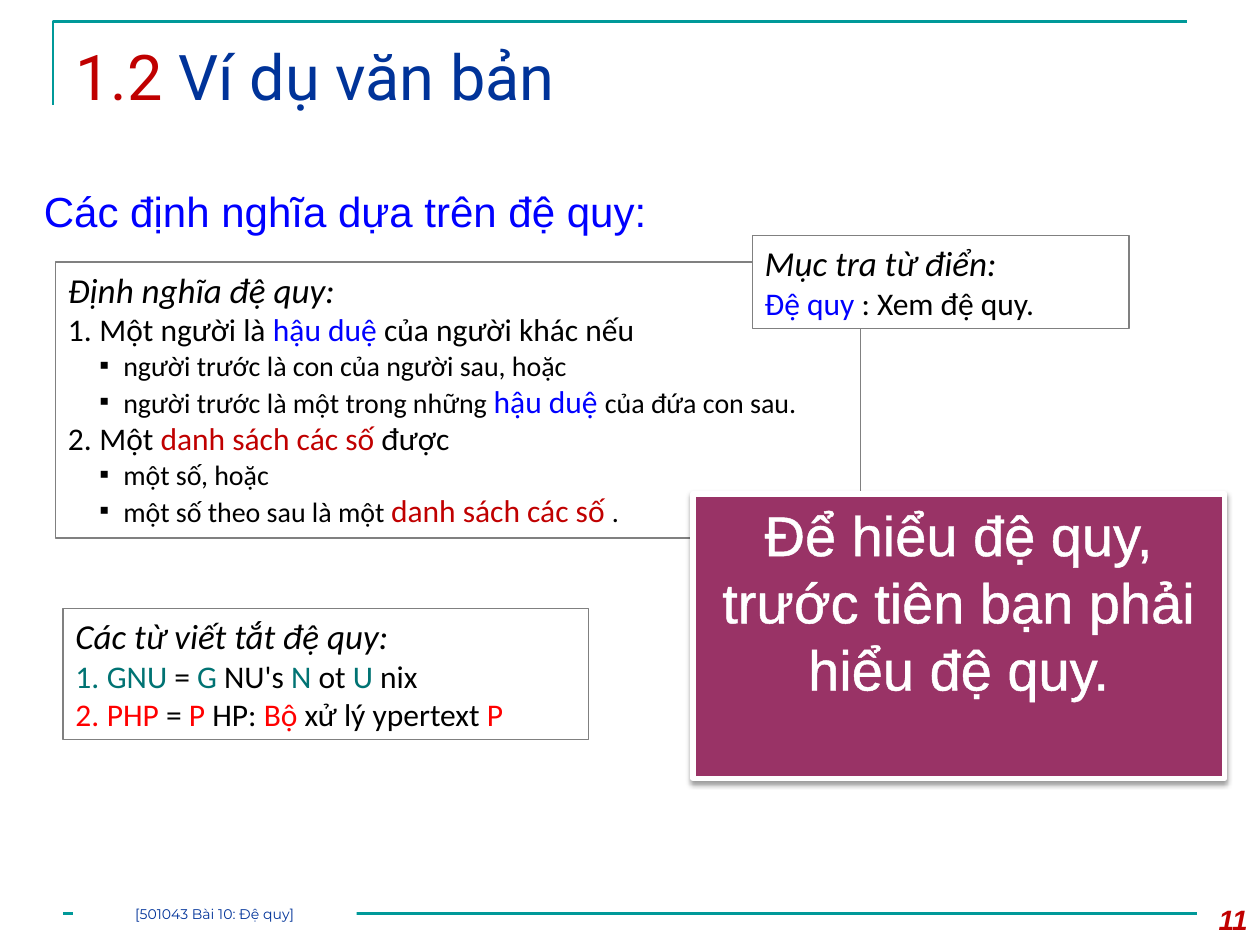
from dataclasses import dataclass

from lxml.etree import SubElement
from pptx import Presentation
from pptx.dml.color import RGBColor
from pptx.enum.shapes import MSO_CONNECTOR, MSO_SHAPE
from pptx.enum.text import MSO_ANCHOR, PP_ALIGN
from pptx.oxml import parse_xml
from pptx.oxml.ns import nsdecls, qn
from pptx.util import Emu, Pt

PX = 9144  # 100 px to the inch


@dataclass(frozen=True)
class Theme:
    rule: str = "009999"
    navy: str = "003399"
    crimson: str = "C00000"
    blue: str = "0000FF"
    teal: str = "007373"
    red: str = "FF0000"
    black: str = "000000"
    white: str = "FFFFFF"
    border: str = "808080"
    plum: str = "993366"
    title: int = 36
    callout: int = 32
    subtitle: int = 24
    heading: int = 20
    body: int = 18
    detail: int = 16
    footer: int = 8


THEME = Theme()


def px(value):
    return Emu(value * PX)


def style_line(line, color, width):
    line.color.rgb = RGBColor.from_string(color)
    line.width = Pt(width)


def add_run(paragraph, text, *, size, color=THEME.black, font="Calibri", bold=False, italic=False):
    run = paragraph.add_run()
    run.text = text
    run.font.size = Pt(size)
    run.font.name = font
    run.font.bold = bold
    run.font.italic = italic
    run.font.color.rgb = RGBColor.from_string(color)
    return run


def prepare_frame(shape, anchor=MSO_ANCHOR.TOP, margin=None):
    frame = shape.text_frame
    frame.word_wrap = True
    frame.vertical_anchor = anchor
    if margin is not None:
        frame.margin_left = frame.margin_right = px(margin)
        frame.margin_top = frame.margin_bottom = px(margin)
    paragraph = frame.paragraphs[0]
    paragraph.alignment = PP_ALIGN.LEFT
    return paragraph


def add_text_box(slide, bounds, anchor=MSO_ANCHOR.TOP):
    return prepare_frame(slide.shapes.add_textbox(*map(px, bounds)), anchor)


def add_rectangle(slide, bounds, *, fill=None, line=None, width=0.75):
    shape = slide.shapes.add_shape(MSO_SHAPE.RECTANGLE, *map(px, bounds))
    shape.shadow.inherit = False
    if fill:
        shape.fill.solid()
        shape.fill.fore_color.rgb = RGBColor.from_string(fill)
    else:
        shape.fill.background()
    if line:
        style_line(shape.line, line, width)
    else:
        shape.line.fill.background()
    return shape


def set_list_format(paragraph, indent, hanging, marker=None):
    """Hang the first line; marker is None, "number" or a bullet character."""
    properties = paragraph._p.get_or_add_pPr()
    properties.set("marL", str(px(indent)))
    properties.set("indent", str(-px(hanging)))
    if marker == "number":
        SubElement(properties, qn("a:buFont"), typeface="+mj-lt")
        SubElement(properties, qn("a:buAutoNum"), type="arabicPeriod")
    elif marker:
        SubElement(properties, qn("a:buFont"), typeface="Arial")
        SubElement(properties, qn("a:buChar"), char=marker)


def add_item(frame, runs, marker=None):
    """Numbered or plain item; runs are (text, color) pairs."""
    paragraph = frame.add_paragraph()
    paragraph.alignment = PP_ALIGN.LEFT
    set_list_format(paragraph, 25, 25, marker)
    for text, color in runs:
        add_run(paragraph, text, size=THEME.body, color=color)


def add_detail(frame, runs):
    """Square-bulleted second level; coloured terms are set larger."""
    paragraph = frame.add_paragraph()
    paragraph.alignment = PP_ALIGN.LEFT
    paragraph.level = 1
    set_list_format(paragraph, 44, 19, "▪")
    for text, color in runs:
        size = THEME.detail if color == THEME.black else THEME.body
        add_run(paragraph, text, size=size, color=color)


def add_panel(slide, bounds, heading, fill=None):
    shape = add_rectangle(slide, bounds, fill=fill, line=THEME.border)
    add_run(prepare_frame(shape), heading, size=THEME.heading, italic=True)
    return shape.text_frame


def add_frame_lines(slide):
    builder = slide.shapes.build_freeform(42, 83, scale=PX)
    builder.add_line_segments([(42, 17), (942, 17)], close=False)
    corner = builder.convert_to_shape()
    corner.shadow.inherit = False
    corner.fill.background()
    style_line(corner.line, THEME.rule, 1.5)
    footer_rule = slide.shapes.add_connector(
        MSO_CONNECTOR.STRAIGHT, px(50), px(725), px(950), px(725))
    style_line(footer_rule.line, THEME.rule, 1.5)
    SubElement(footer_rule._element.spPr, qn("a:effectLst"))


def add_headings(slide):
    title = add_text_box(slide, (50, 25, 900, 86))
    add_run(title, "1.2 ", size=THEME.title, color=THEME.crimson, font="Roboto")
    add_run(title, "Ví dụ văn bản", size=THEME.title, color=THEME.navy, font="Roboto")
    number = add_text_box(slide, (933, 710, 67, 40), MSO_ANCHOR.MIDDLE)
    number.alignment = PP_ALIGN.RIGHT
    add_run(number, "11", size=THEME.detail, color=THEME.crimson, font="Arial",
            bold=True, italic=True)
    subtitle = add_text_box(slide, (25, 142, 775, 50))
    add_run(subtitle, "Các định nghĩa dựa trên đệ quy:", size=THEME.subtitle,
            color=THEME.blue, font="Arial")


def add_definitions(slide):
    black, blue, crimson = THEME.black, THEME.blue, THEME.crimson
    frame = add_panel(slide, (44, 208, 639, 219), "Định nghĩa đệ quy:")
    add_item(frame, [("Một người là ", black), ("hậu duệ ", blue),
                     ("của người khác nếu", black)], "number")
    add_detail(frame, [("người trước là con của người sau, hoặc", black)])
    add_detail(frame, [("người trước là một trong những ", black), ("hậu duệ ", blue),
                       ("của đứa con sau.", black)])
    add_item(frame, [("Một ", black), ("danh sách các số ", crimson), ("được", black)], "number")
    add_detail(frame, [("một số, hoặc", black)])
    add_detail(frame, [("một số theo sau là một ", black), ("danh sách các số ", crimson),
                       (".", black)])


def add_acronyms(slide):
    frame = add_panel(slide, (50, 483, 417, 104), "Các từ viết tắt đệ quy:")
    acronyms = [
        (THEME.teal, ["GNU ", "= ", "G ", "NU's ", "N ", "ot ", "U ", "nix"]),
        (THEME.red, ["PHP ", "= ", "P ", "HP: ", "Bộ ", "xử lý ypertext ", "P"]),
    ]
    for accent, parts in acronyms:
        runs = [(part, THEME.black if index % 2 else accent) for index, part in enumerate(parts)]
        add_item(frame, runs, "number")


def add_callout(slide):
    shape = add_rectangle(slide, (550, 392, 422, 226), fill=THEME.plum, line=THEME.white, width=3)
    effects = shape._element.spPr.find(qn("a:effectLst"))
    effects.append(parse_xml(
        f'<a:outerShdw {nsdecls("a")} blurRad="{Pt(3.1)}" dist="{Pt(1.6)}" dir="5400000" '
        f'rotWithShape="0"><a:srgbClr val="{THEME.black}"><a:alpha val="38000"/></a:srgbClr>'
        '</a:outerShdw>'))
    paragraph = prepare_frame(shape)
    paragraph.alignment = PP_ALIGN.CENTER
    run = add_run(paragraph, "Để hiểu đệ quy, trước tiên bạn phải hiểu đệ quy.",
                  size=THEME.callout, color=THEME.white, font="Arial")
    run._r.get_or_add_rPr().insert(0, parse_xml(
        f'<a:ln {nsdecls("a")} w="{Pt(1.45)}"><a:solidFill>'
        f'<a:srgbClr val="{THEME.white}"/></a:solidFill></a:ln>'))


def add_dictionary_entry(slide):
    frame = add_panel(slide, (597, 187, 299, 74), "Mục tra từ điển:", fill=THEME.white)
    add_item(frame, [("Đệ quy ", THEME.blue), (": Xem đệ quy.", THEME.black)])


def add_footer(slide):
    shape = add_rectangle(slide, (58, 717, 225, 17), fill=THEME.white)
    paragraph = prepare_frame(shape, MSO_ANCHOR.MIDDLE, margin=0)
    paragraph.alignment = PP_ALIGN.CENTER
    add_run(paragraph, "[501043 Bài 10: Đệ quy]", size=THEME.footer, color=THEME.navy,
            font="Montserrat")


def main():
    presentation = Presentation()
    presentation.slide_width, presentation.slide_height = px(1000), px(750)
    slide = presentation.slides.add_slide(presentation.slide_layouts[6])
    for add_part in (add_frame_lines, add_headings, add_definitions, add_acronyms,
                     add_callout, add_dictionary_entry, add_footer):
        add_part(slide)
    presentation.save("out.pptx")


if __name__ == "__main__":
    main()
